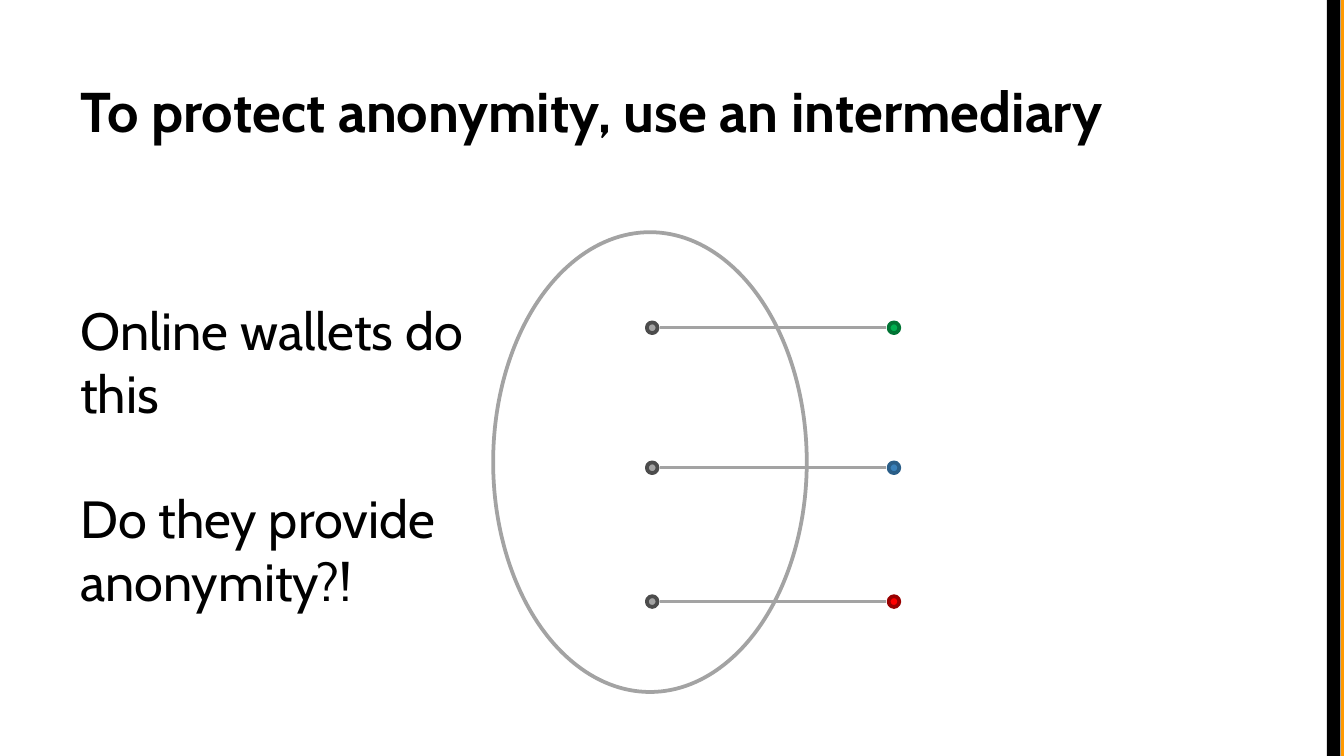
from dataclasses import dataclass

from pptx import Presentation
from pptx.dml.color import RGBColor
from pptx.enum.shapes import MSO_CONNECTOR as Connector, MSO_SHAPE as Shape
from pptx.enum.text import MSO_ANCHOR as Anchor
from pptx.oxml.ns import qn
from pptx.slide import Slide
from pptx.util import Pt
from lxml.etree import SubElement

COLORS = {
    "black": "000000", "white": "FFFFFF", "orange": "FF9900",
    "gray": "A3A3A3", "dark gray": "4C4C4C",
    "green": "00B050", "dark green": "007434",
    "blue": "3A81BA", "dark blue": "2A5E88",
    "red": "FF0000", "dark red": "990000",
}
SLIDE_WIDTH, SLIDE_HEIGHT = 720, 405
LEFT_MARGIN = 36
STRIPE_WIDTH = 7.2
DOT_SIZE = 5.76
LINE_GAP = 4.1
INSIDE_X, OUTSIDE_X = 349.4, 478.9


@dataclass
class Box:
    left: float
    top: float
    width: float
    height: float

    def lengths(self) -> list[Pt]:
        return [Pt(value) for value in (self.left, self.top, self.width, self.height)]


@dataclass
class Link:
    center_y: float
    color: str


LINKS = [Link(175.6, "green"), Link(250.6, "blue"), Link(322.3, "red")]


def rgb(name: str) -> RGBColor:
    return RGBColor.from_string(COLORS[name])


def add_filled(slide: Slide, kind: Shape, box: Box, fill: str, outline: str | None = None) -> None:
    shape = slide.shapes.add_shape(kind, *box.lengths())
    shape.shadow.inherit = False
    shape.fill.solid()
    shape.fill.fore_color.rgb = rgb(fill)
    if outline:
        shape.line.color.rgb = rgb(outline)
        shape.line.width = Pt(2)
    else:
        shape.line.fill.background()


def add_dot(slide: Slide, center_x: float, center_y: float, fill: str, outline: str) -> None:
    radius = DOT_SIZE / 2
    box = Box(center_x - radius, center_y - radius, DOT_SIZE, DOT_SIZE)
    add_filled(slide, Shape.OVAL, box, fill, outline)


def add_link(slide: Slide, link: Link) -> None:
    """Draw an inside dot, an outside dot and the line between them."""
    add_dot(slide, INSIDE_X, link.center_y, "gray", "dark gray")
    add_dot(slide, OUTSIDE_X, link.center_y, link.color, f"dark {link.color}")
    connector = slide.shapes.add_connector(
        Connector.STRAIGHT, Pt(INSIDE_X + LINE_GAP), Pt(link.center_y),
        Pt(OUTSIDE_X - LINE_GAP), Pt(link.center_y))
    connector.line.color.rgb = rgb("gray")
    connector.line.width = Pt(1.5)
    SubElement(connector._element.spPr, qn("a:effectLst"))


def add_text(slide: Slide, box: Box, lines: list[str], size: float,
             bold: bool = False, anchor: Anchor = Anchor.TOP, gap: float = 0) -> None:
    frame = slide.shapes.add_textbox(*box.lengths()).text_frame
    frame_format = {"word_wrap": True, "vertical_anchor": anchor}
    frame_format |= {f"margin_{side}": Pt(7.2) for side in ("left", "top", "right", "bottom")}
    for name, value in frame_format.items():
        setattr(frame, name, value)
    for index, line in enumerate(lines):
        paragraph = frame.add_paragraph() if index else frame.paragraphs[0]
        if index:
            paragraph.space_before = Pt(gap)
        run = paragraph.add_run()
        run.text = line
        for name, value in {"name": "Cabin", "size": Pt(size), "bold": bold}.items():
            setattr(run.font, name, value)
        run.font.color.rgb = rgb("black")


def main() -> None:
    presentation = Presentation()
    presentation.slide_width = Pt(SLIDE_WIDTH)
    presentation.slide_height = Pt(SLIDE_HEIGHT)
    slide = presentation.slides.add_slide(presentation.slide_layouts[6])

    for left, color in ((718.5, "orange"), (710.9, "black")):
        add_filled(slide, Shape.RECTANGLE, Box(left, 0, STRIPE_WIDTH, SLIDE_HEIGHT), color)
    add_text(slide, Box(LEFT_MARGIN, 16.5, 648, 67.5),
             ["To protect anonymity, use an intermediary"], 30, bold=True, anchor=Anchor.BOTTOM)
    add_text(slide, Box(LEFT_MARGIN, 152.6, 228, 235.4),
             ["Online wallets do this", "Do they provide anonymity?!"], 28, gap=33.6)
    add_filled(slide, Shape.OVAL, Box(264.2, 124.4, 168, 246.3), "white", "gray")
    for link in LINKS:
        add_link(slide, link)

    presentation.save("out.pptx")


if __name__ == "__main__":
    main()
